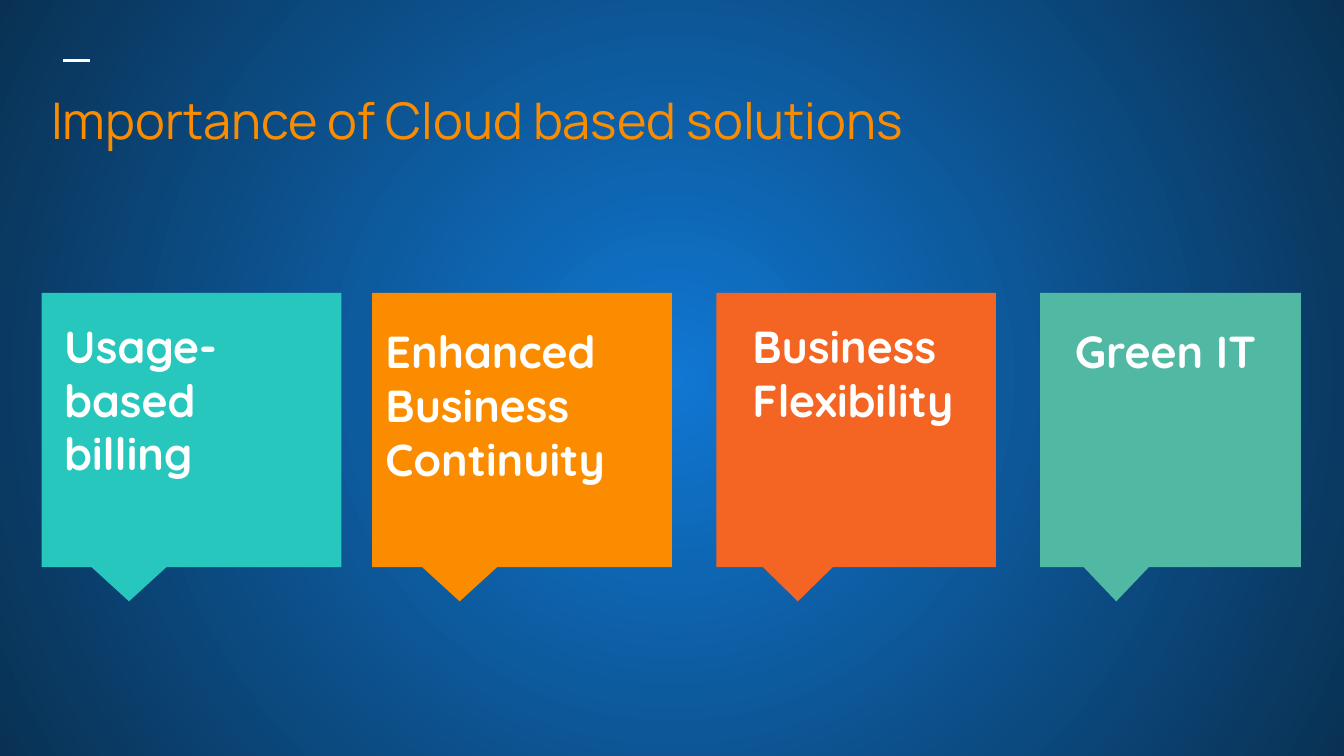
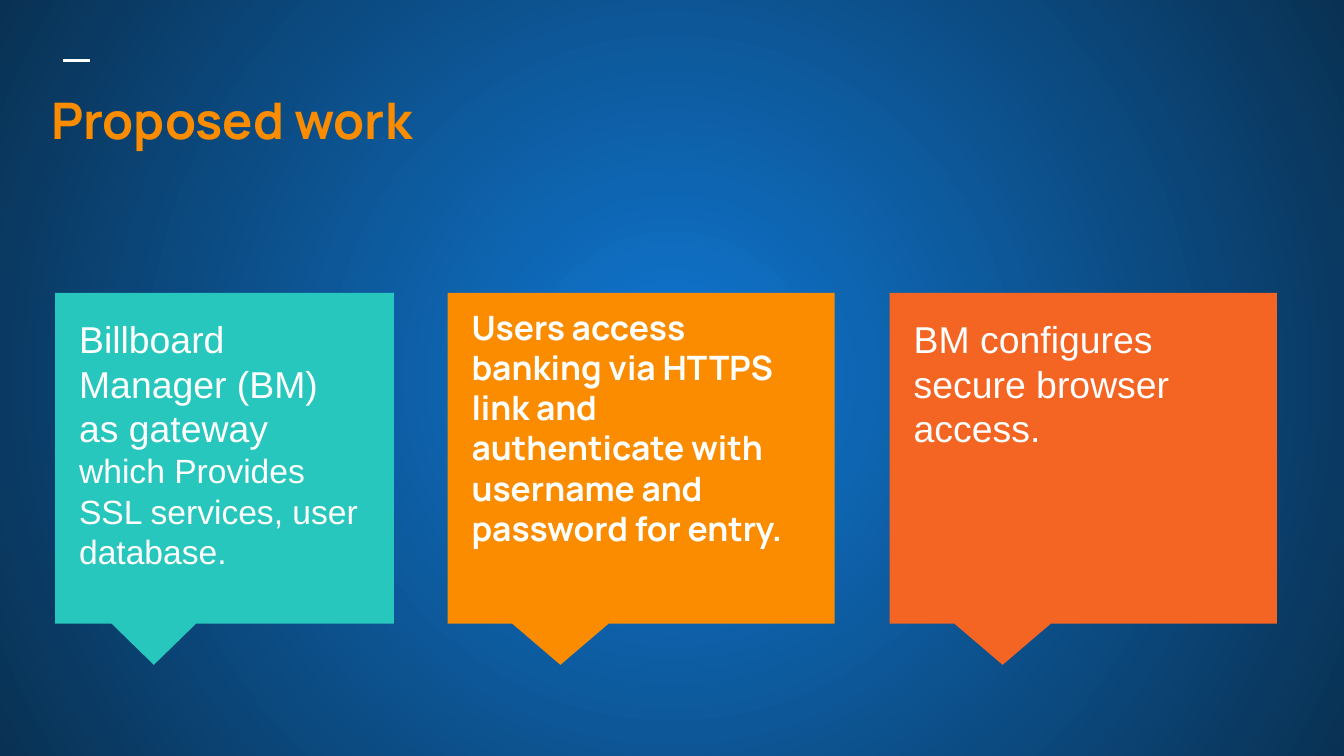
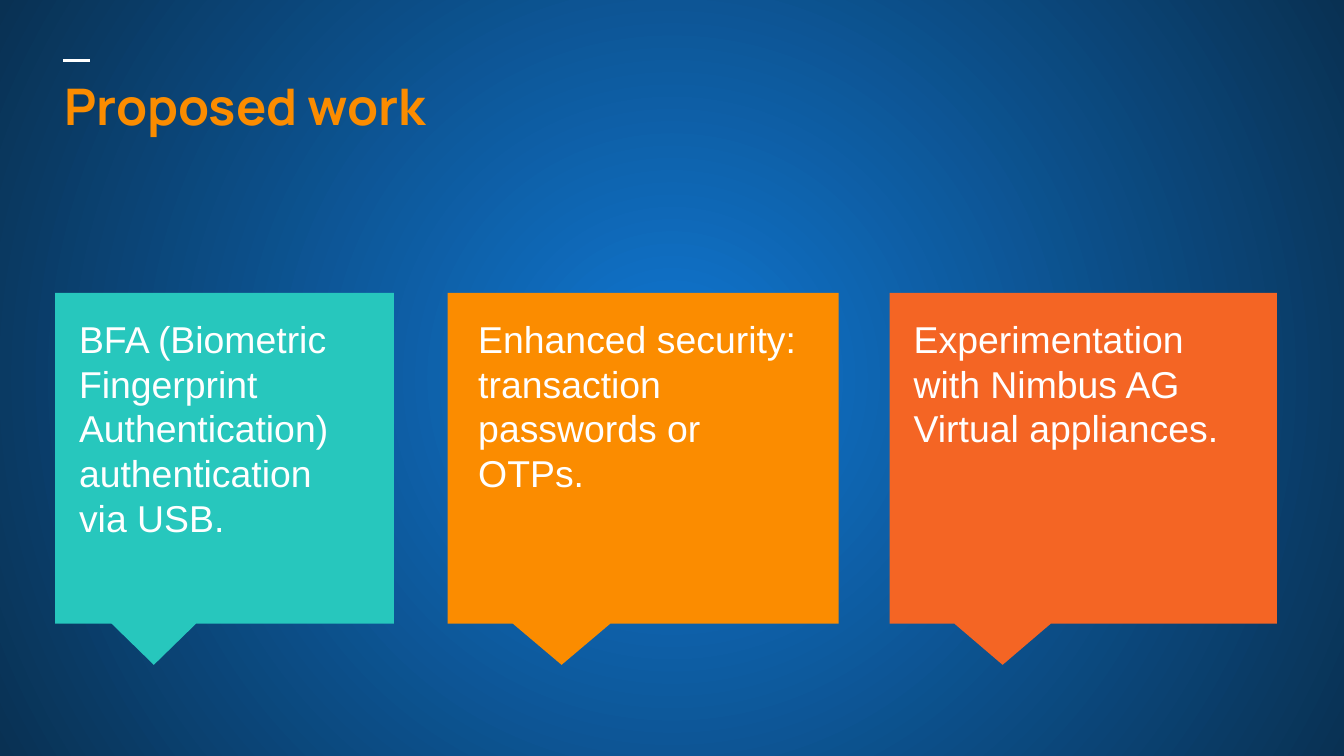
from dataclasses import dataclass

from lxml.etree import SubElement
from pptx import Presentation
from pptx.dml.color import RGBColor
from pptx.enum.shapes import MSO_CONNECTOR as Connector, MSO_SHAPE as Preset
from pptx.enum.text import MSO_ANCHOR as Anchor, MSO_AUTO_SIZE as AutoSize, PP_ALIGN as Align
from pptx.oxml.ns import qn
from pptx.util import Inches, Pt


@dataclass(frozen=True)
class Theme:
    glow: str = "1077D2"
    night: str = "093153"
    white: str = "FFFFFF"
    teal: str = "27C7BD"
    amber: str = "FB8C00"
    orange: str = "F46524"
    green: str = "51B9A3"
    heading_font: str = "Manrope"
    label_font: str = "Quicksand"
    body_font: str = "Arial"
    heading_size: int = 27
    label_size: int = 24
    body_size: int = 20
    small_size: int = 18


@dataclass(frozen=True)
class Card:
    left: float
    width: float
    fill: str
    inset: tuple
    text_size: tuple
    paragraphs: list
    font: str = Theme.body_font
    size: int = Theme.body_size
    bold: bool = False


THEME = Theme()
CARD_TOP = 2.18
TITLE_BOX = (0.31, 0.62, 7.71, 1.15)


def color(value):
    return RGBColor.from_string(value)


def place(box, left, top, width, height):
    box.left, box.top = Inches(left), Inches(top)
    box.width, box.height = Inches(width), Inches(height)


def write(box, paragraphs, font, size, fill, bold=False, margins=(0.1, 0.1)):
    frame = box.text_frame
    frame.word_wrap = True
    frame.auto_size = AutoSize.NONE
    frame.vertical_anchor = Anchor.TOP
    frame.margin_left = frame.margin_right = Inches(margins[0])
    frame.margin_top = frame.margin_bottom = Inches(margins[1])
    for index, runs in enumerate(paragraphs):
        para = frame.add_paragraph() if index else frame.paragraphs[0]
        para.alignment = Align.LEFT
        for text, run_size in runs:
            span = para.add_run()
            span.text = text
            span.font.name = font
            span.font.size = Pt(run_size or size)
            span.font.bold = bold
            span.font.color.rgb = color(fill)


def plain(*lines):
    return [[(line, None)] for line in lines]


def set_background(master):
    fill = master.background.fill
    fill.gradient()
    for stop, shade in zip(fill.gradient_stops, (THEME.glow, THEME.night)):
        stop.color.rgb = color(shade)
    gradient = master.element.find(".//" + qn("a:gradFill"))
    linear = gradient.find(qn("a:lin"))
    if linear is not None:
        gradient.remove(linear)
    path = SubElement(gradient, qn("a:path"), path="circle")
    SubElement(path, qn("a:fillToRect"), {side: "50000" for side in "ltrb"})


def add_heading(page, text, box, bold):
    dash = page.shapes.add_connector(
        Connector.STRAIGHT, Inches(0.47), Inches(0.45), Inches(0.67), Inches(0.45))
    dash.line.color.rgb = color(THEME.white)
    dash.line.width = Pt(1.5)
    SubElement(dash.element.spPr, qn("a:effectLst"))
    title = page.shapes.title
    place(title, *box)
    write(title, plain(text), THEME.heading_font, THEME.heading_size, THEME.amber,
          bold=bold, margins=(0.07, 0.04))


def add_card(page, card, height):
    callout = page.shapes.add_shape(
        Preset.RECTANGULAR_CALLOUT, Inches(card.left), Inches(CARD_TOP),
        Inches(card.width), Inches(height))
    callout.shadow.inherit = False
    callout.fill.solid()
    callout.fill.fore_color.rgb = color(card.fill)
    callout.line.fill.background()
    across, down = card.inset
    label = page.shapes.add_textbox(
        Inches(card.left + across), Inches(CARD_TOP + down),
        *map(Inches, card.text_size))
    write(label, card.paragraphs, card.font, card.size, THEME.white, bold=card.bold)


def add_card_slide(deck, title, cards, height, title_box=TITLE_BOX, bold=True):
    page = deck.slides.add_slide(deck.slide_layouts.get_by_name("Title Only"))
    add_heading(page, title, title_box, bold)
    for card in cards:
        add_card(page, card, height)


def benefit(left, width, fill, inset, text_size, *lines):
    return Card(left, width, fill, inset, text_size, plain(*lines),
                THEME.label_font, THEME.label_size, True)


def main():
    deck = Presentation()
    deck.slide_width = Inches(10)
    deck.slide_height = deck.slide_width * 9 // 16
    set_background(deck.slide_master)

    benefits = [
        benefit(0.31, 2.23, THEME.teal, (0.07, 0.09), (1.94, 1.84), "Usage-", "based billing"),
        benefit(2.77, 2.23, THEME.amber, (0, 0.13), (1.94, 1.66), "Enhanced Business Continuity"),
        benefit(5.33, 2.08, THEME.orange, (0.17, 0.09), (2.08, 2.04), "Business Flexibility"),
        benefit(7.74, 1.94, THEME.green, (0.16, 0.13), (1.6, 1.58), "Green IT"),
    ]
    add_card_slide(deck, "Importance of Cloud based solutions", benefits, 2.04,
                   title_box=(0.31, 0.62, 9.53, 1.15), bold=False)

    inset, wide = (0.08, 0.07), (2.71, 2.19)
    gateway = [[("Billboard Manager (BM) as gateway ", None),
                ("which Provides SSL services, user database.", THEME.small_size)]]
    access = plain("Users access banking via HTTPS link and authenticate "
                   "with username and password for entry.")
    add_card_slide(deck, "Proposed work", [
        Card(0.41, 2.52, THEME.teal, inset, (2.32, 2.19), gateway),
        Card(3.33, 2.88, THEME.amber, (0.08, 0), wide, access,
             THEME.heading_font, THEME.small_size, True),
        Card(6.62, 2.88, THEME.orange, inset, wide,
             plain("BM configures secure browser access.")),
    ], 2.46)

    add_card_slide(deck, "Proposed work", [
        Card(0.41, 2.52, THEME.teal, inset, (2.13, 2.09),
             plain("BFA (Biometric Fingerprint Authentication)authentication via USB.")),
        Card(3.33, 2.91, THEME.amber, (0.13, 0.07), wide,
             plain("Enhanced security: transaction passwords or OTPs.")),
        Card(6.62, 2.88, THEME.orange, inset, wide,
             plain("Experimentation with Nimbus AG Virtual appliances.")),
    ], 2.46, title_box=(0.41, 0.52, 7.71, 1.15))

    deck.save("out.pptx")


if __name__ == "__main__":
    main()
